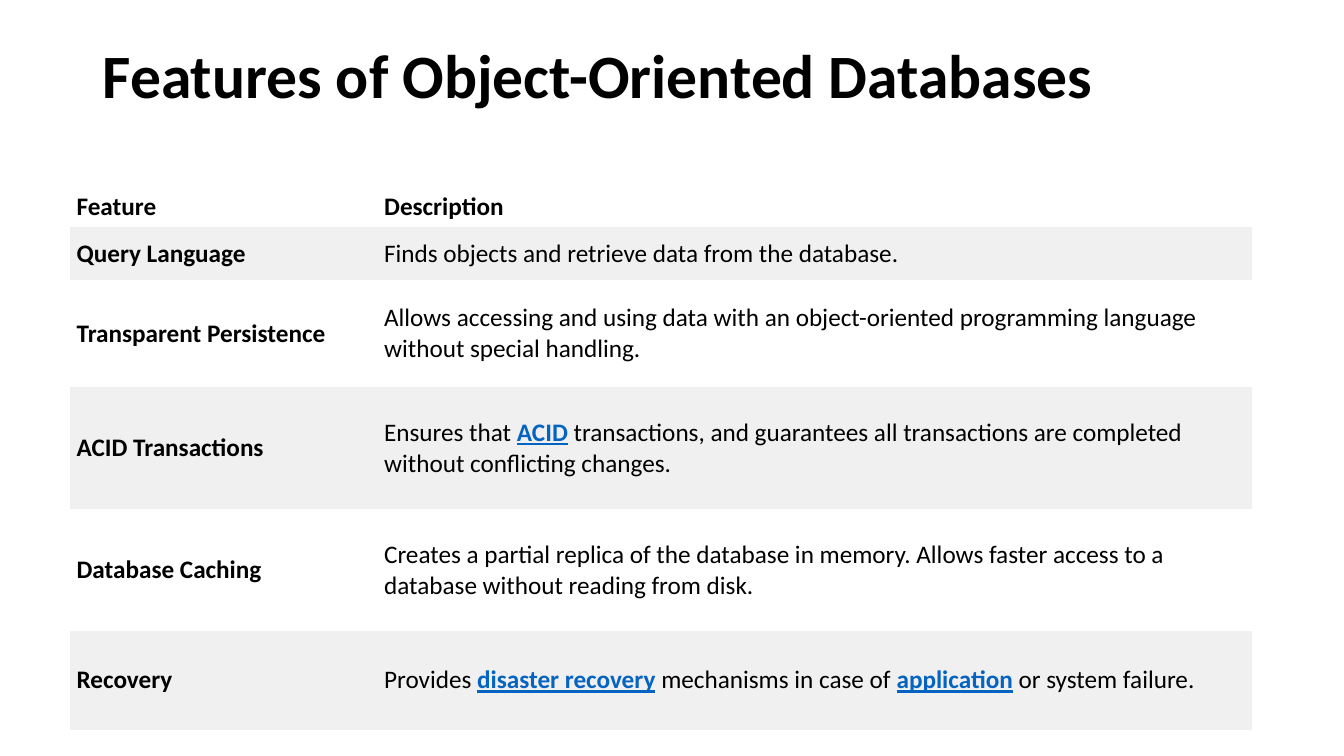
from dataclasses import dataclass

from pptx import Presentation
from pptx.dml.color import RGBColor
from pptx.enum.text import MSO_ANCHOR
from pptx.oxml.ns import qn
from pptx.util import Inches, Pt


@dataclass(frozen=True)
class Theme:
    font: str = "Calibri"
    title: int = 44
    body: int = 18
    ink: str = "000000"
    link: str = "0563C1"
    bands: tuple = ("FFFFFF", "F0F0F0")


THEME = Theme()
NO_GRID = "{2D5ABB26-0587-4C30-8999-92F81FD0307C}"
COLS = (3.05, 8.68)

# Row height, feature, description pieces (every second piece is a link)
ROWS = (
    (0.4, "Feature", ("Description",)),
    (0.53, "Query Language",
     ("Finds objects and retrieve data from the database.",)),
    (1.06, "Transparent Persistence",
     ("Allows accessing and using data with an object-oriented "
      "programming language without special handling.",)),
    (1.21, "ACID Transactions",
     ("Ensures that ", "ACID",
      " transactions, and guarantees all transactions are completed "
      "without conflicting changes.")),
    (1.21, "Database Caching",
     ("Creates a partial replica of the database in memory. Allows faster "
      "access to a database without reading from disk.",)),
    (0.98, "Recovery",
     ("Provides ", "disaster recovery", " mechanisms in case of ",
      "application", " or system failure.")),
)


def add_run(para, text, size, bold=False, link=False):
    run = para.add_run()
    run.text = text
    font = run.font
    font.name, font.size = THEME.font, Pt(size)
    font.bold = bold or link
    font.underline = link
    font.color.rgb = RGBColor.from_string(THEME.link if link else THEME.ink)


def add_title(slide, box, text):
    frame = slide.shapes.add_textbox(*map(Inches, box)).text_frame
    frame.word_wrap = True
    frame.vertical_anchor = MSO_ANCHOR.TOP
    para = frame.paragraphs[0]
    para.line_spacing = 0.9
    add_run(para, text, THEME.title, bold=True)


def fill_cell(cell, parts, band, bold):
    cell.fill.solid()
    cell.fill.fore_color.rgb = RGBColor.from_string(band)
    cell.vertical_anchor = MSO_ANCHOR.MIDDLE
    cell.margin_left = cell.margin_right = Inches(0.07)
    cell.margin_top = cell.margin_bottom = Inches(0.03)
    para = cell.text_frame.paragraphs[0]
    for i, part in enumerate(parts):
        add_run(para, part, THEME.body, bold, link=i % 2 == 1)


def add_grid(slide, box, rows):
    table = slide.shapes.add_table(
        len(rows), len(COLS), *map(Inches, box)).table
    # Plain style without borders or banding
    table.first_row = table.horz_banding = False
    table._tbl.tblPr.find(qn("a:tableStyleId")).text = NO_GRID
    for col, width in zip(table.columns, COLS):
        col.width = Inches(width)
    for r, (height, name, parts) in enumerate(rows):
        table.rows[r].height = Inches(height)
        band = THEME.bands[r % 2]
        fill_cell(table.cell(r, 0), (name,), band, bold=True)
        fill_cell(table.cell(r, 1), parts, band, bold=r == 0)


def main():
    deck = Presentation()
    deck.slide_width, deck.slide_height = Inches(13.33), Inches(7.5)
    slide = deck.slides.add_slide(deck.slide_layouts[6])
    add_title(slide, (0.92, 0.4, 11.5, 1.45),
              "Features of Object-Oriented Databases")
    add_grid(slide, (0.69, 1.85, sum(COLS), sum(row[0] for row in ROWS)), ROWS)
    deck.save("out.pptx")


if __name__ == "__main__":
    main()
